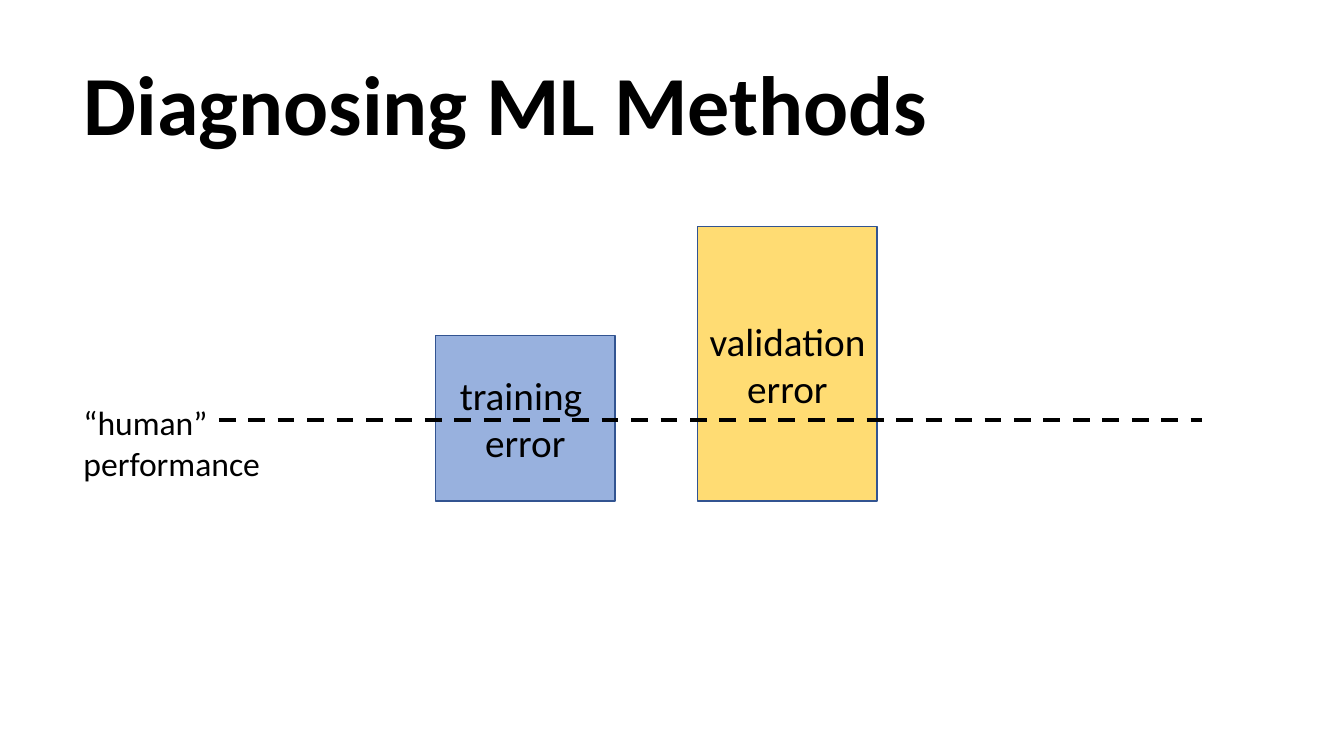
from lxml import etree
from pptx import Presentation
from pptx.dml.color import RGBColor
from pptx.enum.dml import MSO_LINE
from pptx.enum.shapes import MSO_CONNECTOR, MSO_SHAPE
from pptx.enum.text import MSO_ANCHOR, MSO_AUTO_SIZE, PP_ALIGN
from pptx.oxml.ns import qn
from pptx.util import Inches, Pt

RECTANGLE = MSO_SHAPE.RECTANGLE
STRAIGHT = MSO_CONNECTOR.STRAIGHT
DASH = MSO_LINE.DASH
MIDDLE = MSO_ANCHOR.MIDDLE
TOP = MSO_ANCHOR.TOP
LEFT = PP_ALIGN.LEFT
CENTER = PP_ALIGN.CENTER
NO_FIT = MSO_AUTO_SIZE.NONE
GROW = MSO_AUTO_SIZE.SHAPE_TO_FIT_TEXT


def color(hex_code):
    return RGBColor.from_string(hex_code)


def write(frame, lines, size, align, anchor, bold=False):
    frame.vertical_anchor = anchor
    for index, line in enumerate(lines):
        paragraph = frame.add_paragraph() if index else frame.paragraphs[0]
        paragraph.alignment = align
        run = paragraph.add_run()
        run.text = line
        run.font.name = "Calibri"
        run.font.size = Pt(size)
        run.font.bold = bold
        run.font.color.rgb = color("000000")


prs = Presentation()
prs.slide_width = Inches(13.33)
prs.slide_height = Inches(7.5)
slide = prs.slides.add_slide(prs.slide_layouts[5])

title = slide.shapes.title
title.left, title.top = Inches(0.73), Inches(0.35)
title.width, title.height = Inches(12.15), Inches(1.45)
title.text_frame.auto_size = NO_FIT
write(title.text_frame, ["Diagnosing ML Methods"], 60, LEFT, MIDDLE, bold=True)
title.text_frame.paragraphs[0].line_spacing = 0.9

baseline = 4.97
error_bars = [
    ("training ", 4.32, 1.64, "4472C4"),
    ("validation ", 6.92, 2.72, "FFC000"),
]
for stage, left, height, fill in error_bars:
    bar = slide.shapes.add_shape(
        RECTANGLE, Inches(left), Inches(baseline - height), Inches(1.78), Inches(height)
    )
    bar.shadow.inherit = False
    bar.fill.solid()
    bar.fill.fore_color.rgb = color(fill)
    fill_color = bar.fill._xPr.find(qn("a:solidFill"))[0]
    etree.SubElement(fill_color, qn("a:alpha")).set("val", "55000")
    bar.line.color.rgb = color("325491")
    bar.line.width = Pt(1)
    bar.text_frame.word_wrap = True
    write(bar.text_frame, [stage, "error"], 28, CENTER, MIDDLE)

human_line = slide.shapes.add_connector(
    STRAIGHT, Inches(2.17), Inches(4.17), Inches(11.92), Inches(4.17)
)
human_line.line.color.rgb = color("000000")
human_line.line.width = Pt(3)
human_line.line.dash_style = DASH
etree.SubElement(human_line._element.spPr, qn("a:effectLst"))

human_label = slide.shapes.add_textbox(
    Inches(0.73), Inches(3.94), Inches(1.97), Inches(0.91)
)
human_label.text_frame.word_wrap = False
human_label.text_frame.auto_size = GROW
write(human_label.text_frame, ["“human”", "performance"], 24, LEFT, TOP)

prs.save("out.pptx")
